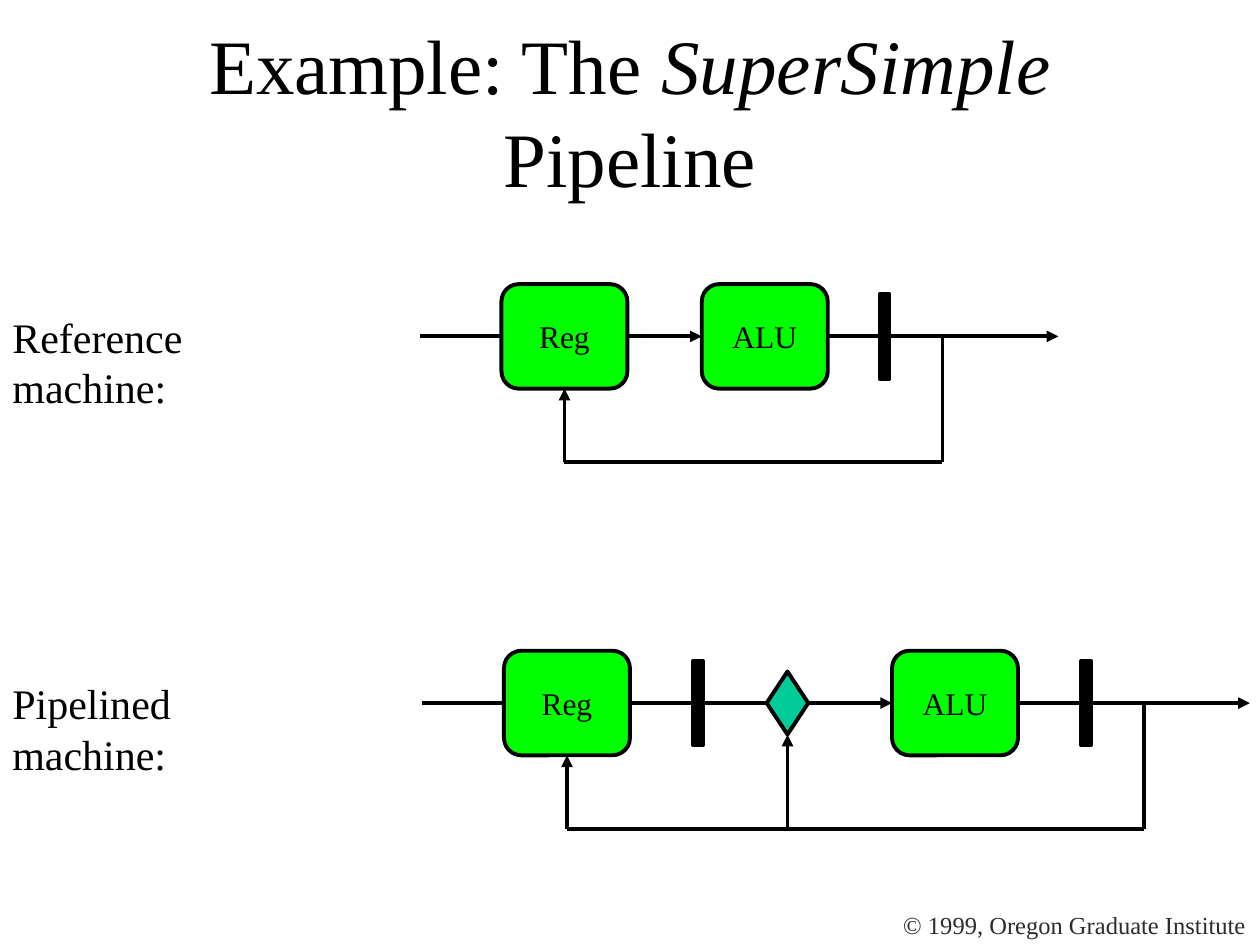
from lxml import etree
from pptx import Presentation
from pptx import util as u
from pptx.dml.color import RGBColor
from pptx.enum import shapes, text
from pptx.oxml.ns import qn

COLORS = {"ink": "000000", "stage": "01FF01", "mux": "00CC99", "footer": "2C2C2C"}
FONT = "Times New Roman"
LINE_WIDTH = u.Pt(2.25)
KIND = shapes.MSO_SHAPE
TOP, LEFT, BOTTOM, RIGHT = range(4)

prs = Presentation()
prs.slide_width, prs.slide_height = u.Inches(10), u.Inches(7.5)
s = prs.slides.add_slide(prs.slide_layouts[6])


def write(sp, *runs, size, color="ink", align=text.PP_ALIGN.LEFT,
          anchor=text.MSO_ANCHOR.TOP, wrap=False):
    """Fill a shape with one paragraph; a run is (words, italic)."""
    tf = sp.text_frame
    tf.word_wrap = wrap
    tf.vertical_anchor = anchor
    p = tf.paragraphs[0]
    p.alignment = align
    for words, italic in runs:
        r = p.add_run()
        r.text = words
        r.font.name, r.font.size, r.font.italic = FONT, u.Pt(size), italic
        r.font.color.rgb = RGBColor.from_string(COLORS[color])


def wire(start, end, arrow=False):
    """Draw a straight line between two (x, y) points in inches."""
    c = s.shapes.add_connector(shapes.MSO_CONNECTOR.STRAIGHT,
                               *(u.Inches(v) for v in (*start, *end)))
    c.line.width = LINE_WIDTH
    c.line.color.rgb = RGBColor.from_string(COLORS["ink"])
    if arrow:
        etree.SubElement(c.line._get_or_add_ln(), qn("a:tailEnd"), type="triangle")
    etree.SubElement(c._element.spPr, qn("a:effectLst"))
    return c


footer = s.shapes.add_textbox(u.Inches(7.07), u.Inches(7.17), u.Inches(2.92), u.Inches(0.34))
write(footer, ("© 1999, Oregon Graduate Institute", False), size=14, color="footer")

title = s.shapes.add_textbox(u.Inches(0.75), u.Inches(0.25), u.Inches(8.5), u.Inches(1.25))
write(title, ("Example: The ", False), ("SuperSimple", True), (" Pipeline", False),
      size=44, align=text.PP_ALIGN.CENTER, anchor=text.MSO_ANCHOR.MIDDLE, wrap=True)

# Part: shape kind, width, height, fill
PARTS = {
    "Reg": (KIND.ROUNDED_RECTANGLE, 1, 0.83, "stage"),
    "ALU": (KIND.ROUNDED_RECTANGLE, 1, 0.83, "stage"),
    "latch": (KIND.RECTANGLE, 0.08, 0.67, "ink"),
    "mux": (KIND.DIAMOND, 0.33, 0.5, "mux"),
}

# Machine: label, label width, centre line, start, tap and end of the data path,
# then each part with its centre
MACHINES = [
    ("Reference machine:", 2.85, 2.67, 3.33, 7.48, 8.4,
     [("Reg", 4.48), ("ALU", 6.07), ("latch", 7.02)]),
    ("Pipelined machine:", 2.76, 5.58, 3.35, 9.08, 9.92,
     [("Reg", 4.5), ("ALU", 7.58), ("latch", 8.62), ("latch", 5.54), ("mux", 6.25)]),
]

for label, label_width, mid, start, tap, end, parts in MACHINES:
    centers = dict(parts)
    bus = mid + 1
    feed = wire((start, mid), (centers["ALU"] - 0.5, mid), arrow=True)
    output = wire((centers["ALU"] + 0.5, mid), (end, mid), arrow=True)

    placed = {}
    for name, x in parts:
        kind, w, h, fill = PARTS[name]
        sp = s.shapes.add_shape(kind, u.Inches(x - w / 2), u.Inches(mid - h / 2),
                                u.Inches(w), u.Inches(h))
        sp.shadow.inherit = False
        sp.fill.solid()
        sp.fill.fore_color.rgb = RGBColor.from_string(COLORS[fill])
        sp.line.width = LINE_WIDTH
        sp.line.color.rgb = RGBColor.from_string(COLORS["ink"])
        if fill == "stage":
            write(sp, (name, False), size=18, align=text.PP_ALIGN.CENTER,
                  anchor=text.MSO_ANCHOR.MIDDLE)
        placed[name] = sp
    feed.end_connect(placed["ALU"], LEFT)
    output.begin_connect(placed["ALU"], RIGHT)

    # Feedback from the output to the register and, if present, the mux
    wire((centers["Reg"], bus), (tap, bus))
    wire((tap, bus), (tap, mid))
    for name in ("Reg", "mux"):
        if name in placed:
            x = centers[name]
            feedback = wire((x, bus), (x, mid + PARTS[name][2] / 2), arrow=True)
            feedback.end_connect(placed[name], BOTTOM)

    tb = s.shapes.add_textbox(0, u.Inches(mid - 0.25), u.Inches(label_width), u.Inches(0.5))
    write(tb, (label, False), size=24)

prs.save("out.pptx")
